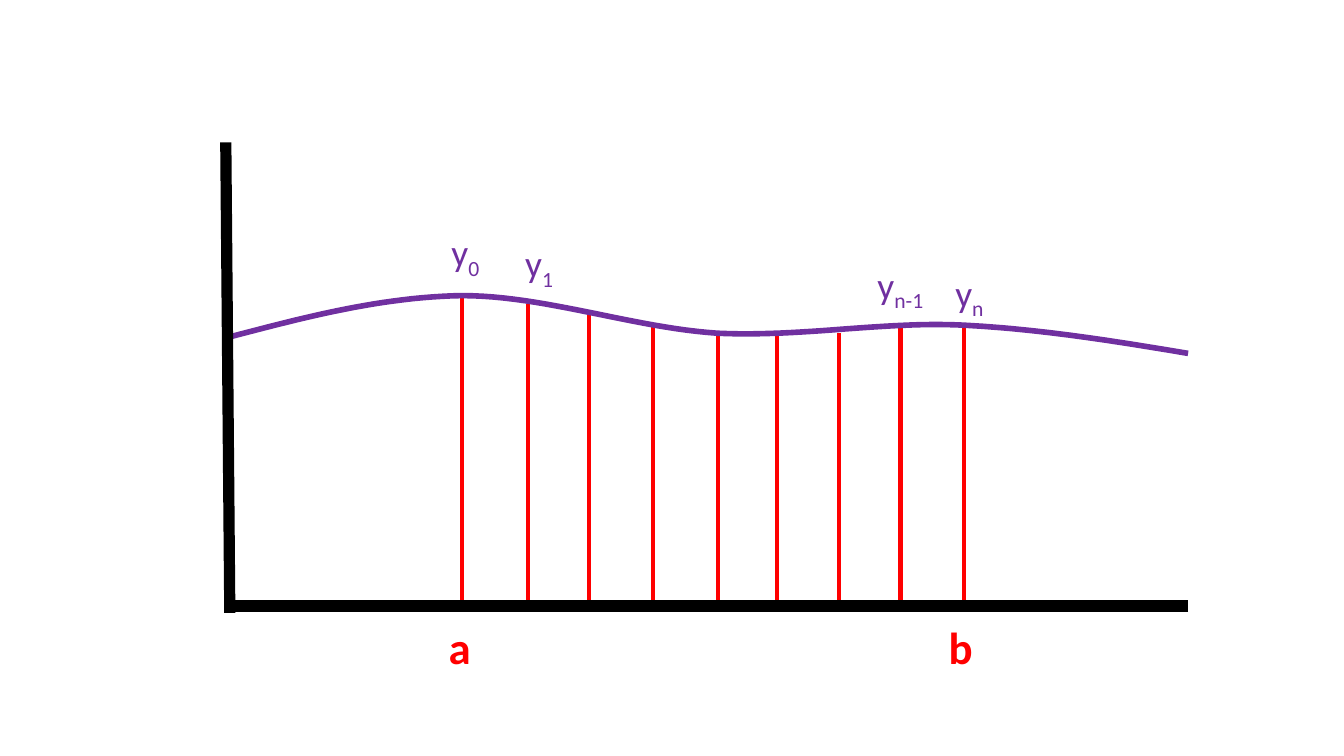
from typing import NamedTuple

from lxml.etree import SubElement
from pptx import Presentation
from pptx.dml.color import RGBColor
from pptx.enum.shapes import MSO_CONNECTOR as Connector
from pptx.enum.text import MSO_AUTO_SIZE as AutoSize
from pptx.oxml.ns import qn
from pptx.slide import Slide
from pptx.util import Inches, Pt

COLORS = {"axis": "000000", "ordinate": "FF0000", "curve": "7030A0"}
SLIDE_WIDTH = 10
SLIDE_HEIGHT = SLIDE_WIDTH * 9 / 16
BASELINE = 4.51
CURVE_STEPS = 24


class Point(NamedTuple):
    x: float
    y: float


class Line(NamedTuple):
    start: Point
    end: Point
    color: str
    width: float


class Label(NamedTuple):
    text: str
    subscript: str
    left: float
    top: float
    width: float
    height: float
    format: dict


ORDINATE_TOPS = [
    Point(3.44, 2.2), Point(3.93, 2.26), Point(4.38, 2.31),
    Point(4.86, 2.42), Point(5.34, 2.48), Point(5.78, 2.49),
    Point(6.24, 2.48), Point(6.7, 2.41), Point(7.17, 2.42),
]
X_AXIS = Line(Point(8.84, BASELINE), Point(1.68, BASELINE), "axis", 6)
Y_AXIS = Line(Point(1.68, 1.06), Point(1.71, 4.56), "axis", 6)

CURVE_START = Point(1.7, 2.51)
# Each segment: two control points and the end point of a cubic Bézier.
CURVE_SEGMENTS = [
    (Point(2.27, 2.36), Point(2.84, 2.21), Point(3.44, 2.2)),
    (Point(4.05, 2.2), Point(4.72, 2.44), Point(5.34, 2.48)),
    (Point(5.96, 2.51), Point(6.58, 2.39), Point(7.17, 2.42)),
    (Point(7.75, 2.45), Point(8.3, 2.54), Point(8.84, 2.63)),
]

VALUE_FORMAT = {"name": "Calibri", "size": Pt(20)}
LIMIT_FORMAT = {"name": "Calibri", "size": Pt(24), "bold": True}
VALUE_LABELS = [
    Label("y", "0", 3.26, 1.66, 0.55, 0.44, VALUE_FORMAT),
    Label("y", "1", 3.81, 1.74, 0.57, 0.44, VALUE_FORMAT),
    Label("y", "n-1", 6.43, 1.9, 0.73, 0.44, VALUE_FORMAT),
    Label("y", "n", 7.01, 1.96, 0.57, 0.44, VALUE_FORMAT),
]
LIMIT_LABELS = [
    Label("a", "", 3.24, 4.56, 0.42, 0.5, LIMIT_FORMAT),
    Label("b", "", 6.96, 4.56, 0.42, 0.5, LIMIT_FORMAT),
]


def color_of(name: str) -> RGBColor:
    return RGBColor.from_string(COLORS[name])


def draw_line(slide: Slide, line: Line) -> None:
    connector = slide.shapes.add_connector(
        Connector.STRAIGHT, *map(Inches, (*line.start, *line.end)))
    connector.line.color.rgb = color_of(line.color)
    connector.line.width = Pt(line.width)
    SubElement(connector._element.spPr, qn("a:effectLst"))


def bezier_point(points: tuple[Point, ...], t: float) -> Point:
    weights = ((1 - t) ** 3, 3 * t * (1 - t) ** 2, 3 * t**2 * (1 - t), t**3)
    return Point(sum(w * p.x for w, p in zip(weights, points)),
                 sum(w * p.y for w, p in zip(weights, points)))


def draw_curve(slide: Slide) -> None:
    """Trace the Bézier segments with short straight steps."""
    vertices = []
    start = CURVE_START
    for segment in CURVE_SEGMENTS:
        vertices += [bezier_point((start, *segment), step / CURVE_STEPS)
                     for step in range(1, CURVE_STEPS + 1)]
        start = segment[-1]
    builder = slide.shapes.build_freeform(*map(Inches, CURVE_START))
    builder.add_line_segments(
        [(Inches(x), Inches(y)) for x, y in vertices], close=False)
    shape = builder.convert_to_shape()
    shape.shadow.inherit = False
    shape.fill.background()
    shape.line.color.rgb = color_of("curve")
    shape.line.width = Pt(3)


def draw_label(slide: Slide, label: Label, color: str) -> None:
    box = slide.shapes.add_textbox(
        *map(Inches, (label.left, label.top, label.width, label.height)))
    frame = box.text_frame
    frame.word_wrap = True
    frame.auto_size = AutoSize.SHAPE_TO_FIT_TEXT
    paragraph = frame.paragraphs[0]
    for text, baseline in ((label.text, None), (label.subscript, "-25000")):
        if not text:
            continue
        run = paragraph.add_run()
        run.text = text
        for attribute, value in label.format.items():
            setattr(run.font, attribute, value)
        run.font.color.rgb = color_of(color)
        if baseline:
            run._r.get_or_add_rPr().set("baseline", baseline)


def main() -> None:
    presentation = Presentation()
    presentation.slide_width = Inches(SLIDE_WIDTH)
    presentation.slide_height = Inches(SLIDE_HEIGHT)
    slide = presentation.slides.add_slide(presentation.slide_layouts[6])

    for top in ORDINATE_TOPS:
        draw_line(slide, Line(top, Point(top.x, BASELINE), "ordinate", 2.25))
    draw_line(slide, X_AXIS)
    draw_curve(slide)
    draw_line(slide, Y_AXIS)
    for label in VALUE_LABELS:
        draw_label(slide, label, "curve")
    for label in LIMIT_LABELS:
        draw_label(slide, label, "ordinate")

    presentation.save("out.pptx")


if __name__ == "__main__":
    main()
